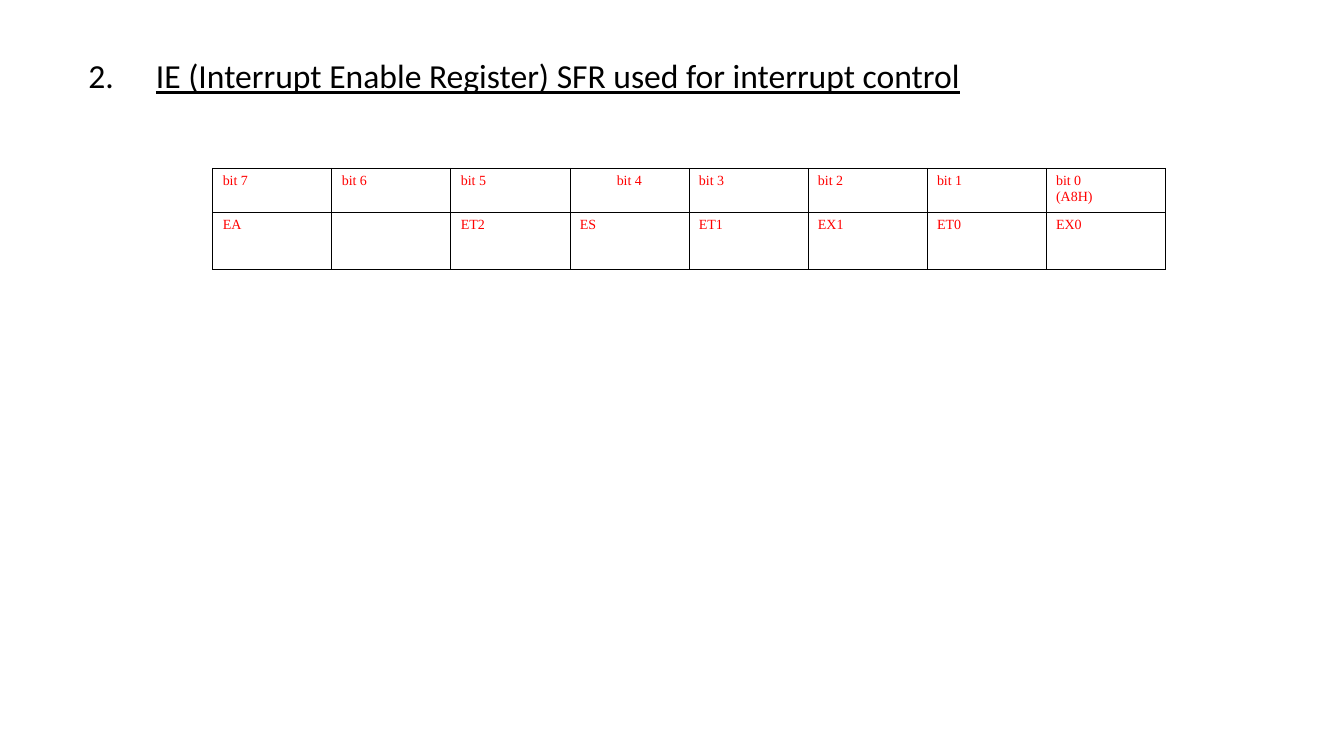
from dataclasses import dataclass

import lxml.etree
import pptx
import pptx.dml.color
import pptx.enum.text
import pptx.oxml.ns
import pptx.slide
import pptx.table
import pptx.text.text
import pptx.util

Cm = pptx.util.Cm
Pt = pptx.util.Pt
RGBColor = pptx.dml.color.RGBColor
Alignment = pptx.enum.text.PP_ALIGN
qn = pptx.oxml.ns.qn


@dataclass(frozen=True)
class TextStyle:
    font: str
    size: float
    colour: RGBColor
    underline: bool = False


@dataclass(frozen=True)
class Theme:
    heading: TextStyle = TextStyle("Calibri", 24, RGBColor(0, 0, 0), True)
    bit: TextStyle = TextStyle("Times New Roman", 10, RGBColor(255, 0, 0))
    ink: RGBColor = RGBColor(0, 0, 0)
    border: float = 0.45


@dataclass(frozen=True)
class RegisterBit:
    label: tuple[str, ...]
    flag: str
    alignment: Alignment = Alignment.JUSTIFY


THEME = Theme()
HEADING = "IE (Interrupt Enable Register) SFR used for interrupt control"
HEADING_NUMBER = 2
REGISTER_BITS = (
    RegisterBit(("bit 7",), "EA"),
    RegisterBit(("bit 6",), ""),
    RegisterBit(("bit 5",), "ET2"),
    RegisterBit(("bit 4",), "ES", Alignment.CENTER),
    RegisterBit(("bit 3",), "ET1"),
    RegisterBit(("bit 2",), "EX1"),
    RegisterBit(("bit 1",), "ET0"),
    RegisterBit(("bit 0", "(A8H)"), "EX0"),
)
COLUMN_WIDTH = Cm(3)
ROW_HEIGHTS = (Cm(1.09), Cm(1.45))


def add_element(
    parent: lxml.etree._Element, tag: str, **attributes: object
) -> lxml.etree._Element:
    values = {name: str(value) for name, value in attributes.items()}
    return lxml.etree.SubElement(parent, qn(tag), values)


def add_solid_fill(parent: lxml.etree._Element, colour: RGBColor) -> None:
    add_element(add_element(parent, "a:solidFill"), "a:srgbClr", val=colour)


def set_hanging_indent(
    paragraph: pptx.text.text._Paragraph, indent: int, tabs: list[int], number: int = 0
) -> None:
    """Set indent and tab stops, with automatic numbering when a number is given."""
    properties = paragraph._p.get_or_add_pPr()
    properties.set("marL", str(indent))
    properties.set("indent", str(-indent))
    if number:
        colour = add_element(properties, "a:buClr")
        add_element(colour, "a:srgbClr", val=THEME.ink)
        add_element(properties, "a:buAutoNum", type="arabicPeriod", startAt=number)
    else:
        add_element(properties, "a:buNone")
    tab_list = add_element(properties, "a:tabLst")
    for position in tabs:
        add_element(tab_list, "a:tab", pos=position, algn="l")


def add_run(paragraph: pptx.text.text._Paragraph, text: str, style: TextStyle) -> None:
    run = paragraph.add_run()
    run.text = text
    run.font.name = style.font
    run.font.size = Pt(style.size)
    run.font.color.rgb = style.colour
    run.font.underline = style.underline


def add_heading(slide: pptx.slide.Slide) -> None:
    box = slide.shapes.add_textbox(Cm(1.98), Cm(1.27), Cm(29.92), Cm(6.55))
    box.text_frame.word_wrap = True
    paragraph = box.text_frame.paragraphs[0]
    paragraph.alignment = Alignment.JUSTIFY
    tabs = [Cm(2.54 * stop) for stop in range(1, 9)]
    set_hanging_indent(paragraph, Cm(1.7), tabs, HEADING_NUMBER)
    add_run(paragraph, HEADING, THEME.heading)


def format_cell(cell: pptx.table._Cell) -> None:
    properties = cell._tc.get_or_add_tcPr()
    for side in ("a:lnL", "a:lnR", "a:lnT", "a:lnB"):
        line = add_element(properties, side, w=Pt(THEME.border))
        add_solid_fill(line, THEME.ink)
    cell.fill.background()


def write_cell(
    cell: pptx.table._Cell, lines: tuple[str, ...], alignment: Alignment
) -> None:
    frame = cell.text_frame
    for index, line in enumerate(lines):
        paragraph = frame.add_paragraph() if index else frame.paragraphs[0]
        paragraph.alignment = alignment
        set_hanging_indent(paragraph, Cm(0.94), [0])
        if line:
            add_run(paragraph, line, THEME.bit)


def add_register_table(slide: pptx.slide.Slide) -> None:
    count = len(REGISTER_BITS)
    table = slide.shapes.add_table(
        len(ROW_HEIGHTS), count, Cm(5.36), Cm(4.24),
        COLUMN_WIDTH * count, sum(ROW_HEIGHTS),
    ).table
    table.first_row = False
    table.horz_banding = False
    for row, height in zip(table.rows, ROW_HEIGHTS):
        row.height = height
    for column, bit in enumerate(REGISTER_BITS):
        table.columns[column].width = COLUMN_WIDTH
        write_cell(table.cell(0, column), bit.label, bit.alignment)
        write_cell(table.cell(1, column), (bit.flag,), Alignment.JUSTIFY)
    for cell in table.iter_cells():
        format_cell(cell)


def main() -> None:
    presentation = pptx.Presentation()
    presentation.slide_width = Cm(33.87)
    presentation.slide_height = Cm(19.05)
    slide = presentation.slides.add_slide(presentation.slide_layouts[6])
    add_heading(slide)
    add_register_table(slide)
    presentation.save("out.pptx")


if __name__ == "__main__":
    main()
